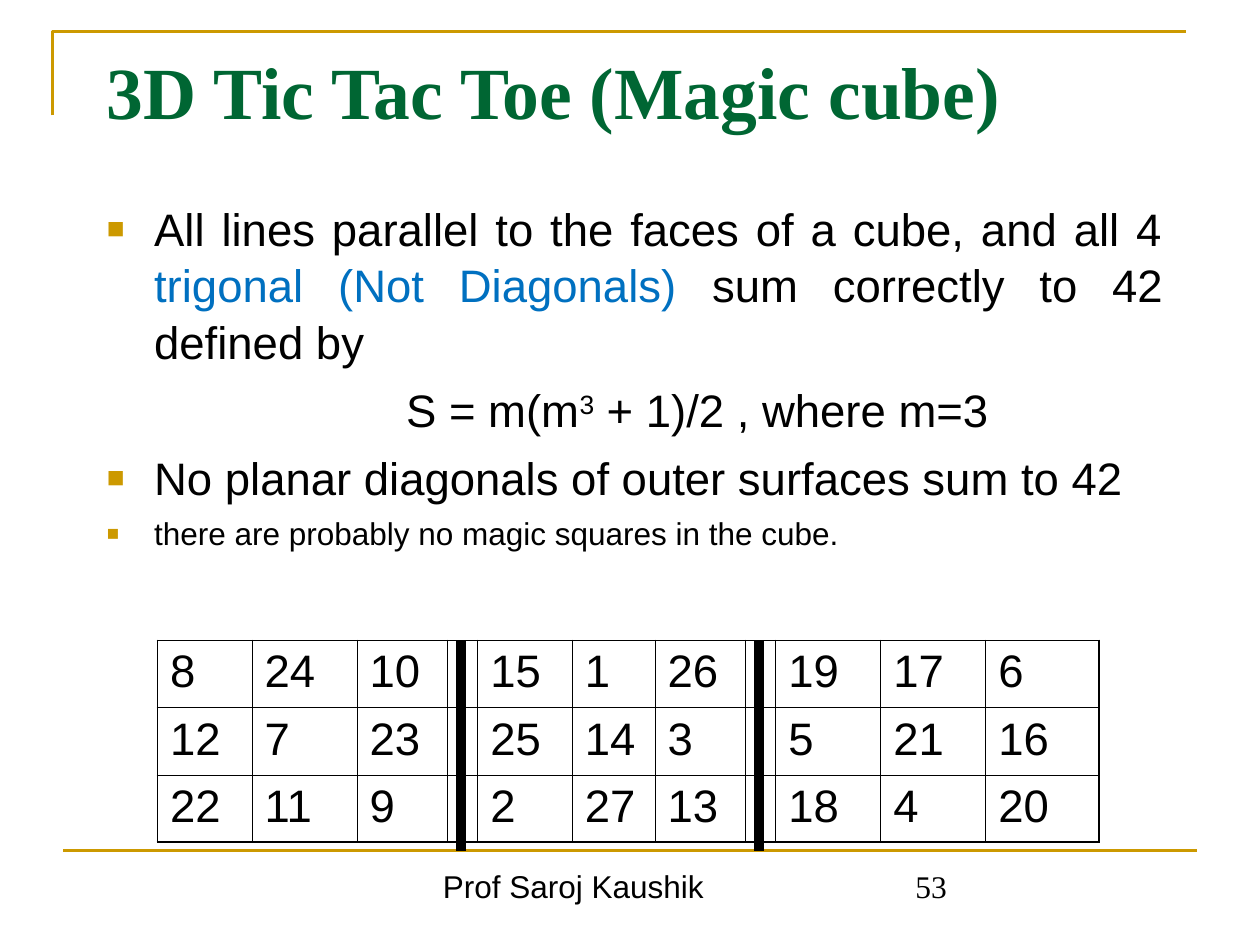
from collections import namedtuple
from dataclasses import dataclass

from lxml.etree import SubElement
from pptx import Presentation
from pptx.dml.color import RGBColor
from pptx.enum.shapes import MSO_CONNECTOR
from pptx.enum.text import PP_ALIGN
from pptx.oxml import parse_xml
from pptx.oxml.ns import nsdecls, qn
from pptx.util import Pt

SCALE = 7620
Box = namedtuple("Box", "left top width height")


@dataclass(frozen=True)
class Theme:
    gold: str = "CC9900"
    green: str = "006633"
    blue: str = "0070C0"
    black: str = "000000"
    sans: str = "Arial"
    serif: str = "Times New Roman"
    title_size: int = 42
    body_size: int = 26
    small_size: int = 18
    rule: float = 1.5
    divider: float = 6
    outer: float = 1.08
    inner: float = 0.45


THEME = Theme()
TITLE_FORMAT = {"size": Pt(THEME.title_size), "name": THEME.serif, "bold": True}
BODY_FORMAT = {"size": Pt(THEME.body_size), "name": THEME.sans}
SMALL_FORMAT = {"size": Pt(THEME.small_size), "name": THEME.sans}
NUMBER_FORMAT = {"size": Pt(THEME.small_size), "name": THEME.serif}

POINTS = [
    (True, BODY_FORMAT, 0, [
        ("All lines parallel to the faces of a cube, and all 4 ", THEME.black, 0),
        ("trigonal (Not Diagonals)", THEME.blue, 0),
        (" sum correctly to 42 defined by", THEME.black, 0)]),
    (False, BODY_FORMAT, 6.5, [
        ("S = m(m", THEME.black, 0),
        ("3", THEME.black, 30000),
        (" + 1)/2 , where m=3", THEME.black, 0)]),
    (True, BODY_FORMAT, 6.5, [
        ("No planar diagonals of outer surfaces sum to 42", THEME.black, 0)]),
    (True, SMALL_FORMAT, 4.5, [
        ("there are probably no magic squares in the cube.", THEME.black, 0)]),
]

COLUMNS = [90, 100, 86, 29, 90, 79, 86, 29, 100, 100, 108]
CUBE = [
    [8, 24, 10, "", 15, 1, 26, "", 19, 17, 6],
    [12, 7, 23, "", 25, 14, 3, "", 5, 21, 16],
    [22, 11, 9, "", 2, 27, 13, "", 18, 4, 20],
]


def px(length):
    return length * SCALE


def apply(target, values):
    for name, value in values.items():
        setattr(target, name, value)


def add_span(para, text, color, values, baseline=0):
    span = para.add_run()
    span.text = text
    apply(span.font, values)
    span.font.color.rgb = RGBColor.from_string(color)
    if baseline:
        span.font._element.set("baseline", str(baseline))


def add_frame(page, box, margin_top=6):
    frame = page.shapes.add_textbox(*map(px, box)).text_frame
    apply(frame, {"word_wrap": True, "margin_left": px(12), "margin_right": px(12),
                  "margin_top": px(margin_top), "margin_bottom": px(6)})
    return frame


def add_label(page, box, text, color, values, margin_top=6):
    frame = add_frame(page, box, margin_top)
    add_span(frame.paragraphs[0], text, color, values)


def add_line(page, start, end, color, width):
    line = page.shapes.add_connector(MSO_CONNECTOR.STRAIGHT, *map(px, start + end))
    line.line.color.rgb = RGBColor.from_string(color)
    line.line.width = Pt(width)
    SubElement(line._element.spPr, qn("a:effectLst"))


def add_title(page, box):
    builder = page.shapes.build_freeform(50, 110, scale=SCALE)
    builder.add_line_segments([(50, box.top), (1130, box.top)], close=False)
    bracket = builder.convert_to_shape()
    bracket.shadow.inherit = False
    bracket.fill.background()
    bracket.line.color.rgb = RGBColor.from_string(THEME.gold)
    bracket.line.width = Pt(THEME.rule)
    add_label(page, box, "3D Tic Tac Toe (Magic cube)", THEME.green, TITLE_FORMAT, 14)


def add_bullet(properties):
    color = SubElement(SubElement(properties, qn("a:buClr")), qn("a:srgbClr"))
    color.set("val", THEME.gold)
    for tag, name, value in [("a:buSzPct", "val", "65000"),
                             ("a:buFont", "typeface", THEME.sans),
                             ("a:buChar", "char", "■")]:
        SubElement(properties, qn(tag)).set(name, value)


def add_points(page, box):
    frame = add_frame(page, box, 9)
    for index, (bulleted, values, gap, spans) in enumerate(POINTS):
        para = frame.add_paragraph() if index else frame.paragraphs[0]
        properties = para._p.get_or_add_pPr()
        properties.set("marL", str(px(45 if bulleted else 285)))
        properties.set("indent", str(px(-45 if bulleted else 0)))
        if bulleted:
            add_bullet(properties)
        apply(para, {"alignment": PP_ALIGN.JUSTIFY, "line_spacing": 1.04,
                     "space_before": Pt(gap)})
        for text, color, baseline in spans:
            add_span(para, text, color, values, baseline)


def set_borders(cell, widths):
    properties = cell._tc.get_or_add_tcPr()
    for index, (side, width) in enumerate(widths.items()):
        properties.insert(index, parse_xml(
            f'<a:ln{side} {nsdecls("a")} w="{Pt(width)}"><a:solidFill>'
            f'<a:srgbClr val="{THEME.black}"/></a:solidFill></a:ln{side}>'))


def add_cube(page, box):
    last_row, last_column = len(CUBE) - 1, len(COLUMNS) - 1
    table = page.shapes.add_table(len(CUBE), len(COLUMNS), *map(px, box)).table
    apply(table, {"first_row": False, "horz_banding": False})
    for column, width in zip(table.columns, COLUMNS):
        column.width = px(width)
    for row_index, values in enumerate(CUBE):
        table.rows[row_index].height = px(box.height // len(CUBE))
        for column_index, value in enumerate(values):
            cell = table.cell(row_index, column_index)
            cell.fill.background()
            edges = {"L": column_index == 0, "R": column_index == last_column,
                     "T": row_index == 0, "B": row_index == last_row}
            set_borders(cell, {side: THEME.outer if edge else THEME.inner
                               for side, edge in edges.items()})
            if value != "":
                add_span(cell.text_frame.paragraphs[0], str(value), THEME.black, BODY_FORMAT)
    for column_index, value in enumerate(CUBE[0]):
        if value == "":
            middle = box.left + sum(COLUMNS[:column_index]) + 13
            add_line(page, (middle, box.top), (middle, box.top + 200),
                     THEME.black, THEME.divider)


def add_footer(page, box):
    add_line(page, (box.left, box.top), (box.left + box.width, box.top),
             THEME.gold, THEME.rule)
    add_label(page, Box(box.left + 350, box.top + 10, 380, 60),
              "Prof Saroj Kaushik", THEME.black, SMALL_FORMAT)
    add_label(page, Box(box.left + 800, box.top + 10, 280, 60),
              "53", THEME.black, NUMBER_FORMAT)


def main():
    deck = Presentation()
    apply(deck, {"slide_width": px(1200), "slide_height": px(900)})
    page = deck.slides.add_slide(deck.slide_layouts[6])
    add_footer(page, Box(60, 810, 1080, 70))
    add_title(page, Box(90, 30, 1020, 130))
    add_points(page, Box(90, 180, 1030, 390))
    add_cube(page, Box(150, 610, sum(COLUMNS), 192))
    deck.save("out.pptx")


if __name__ == "__main__":
    main()
